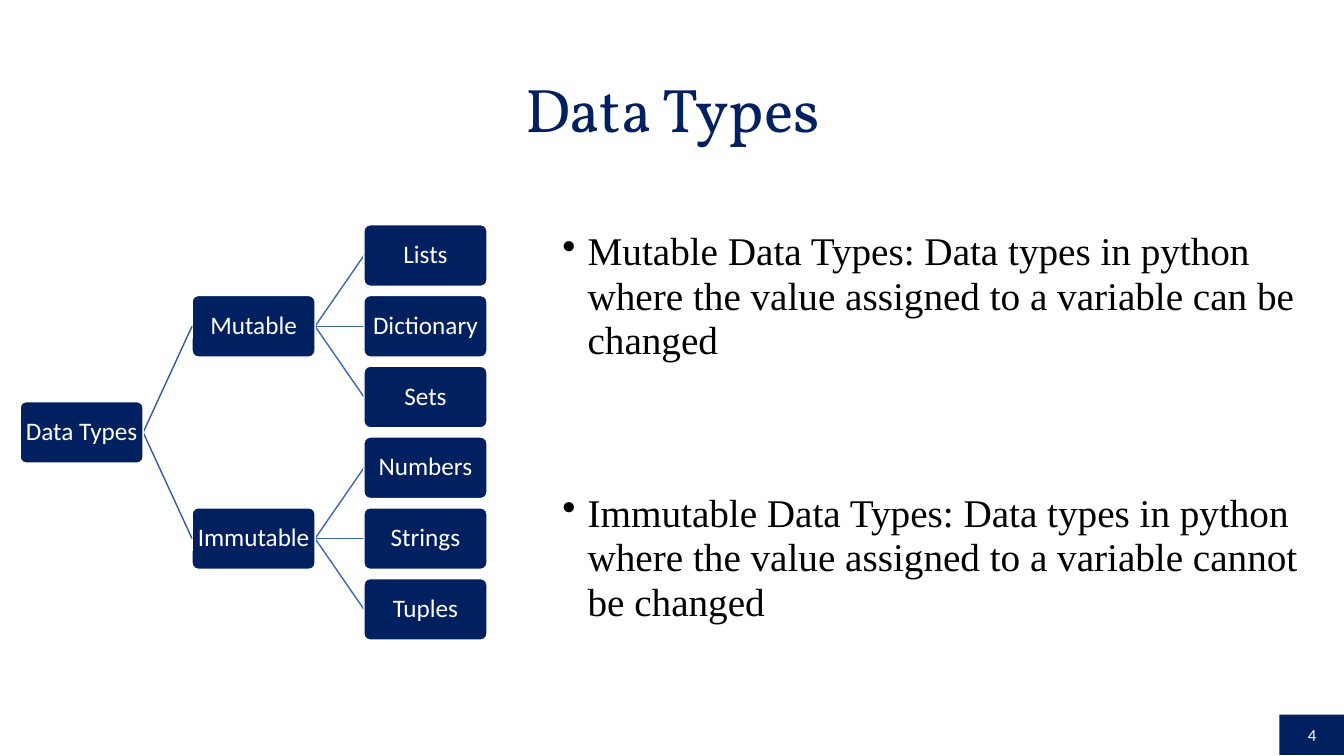
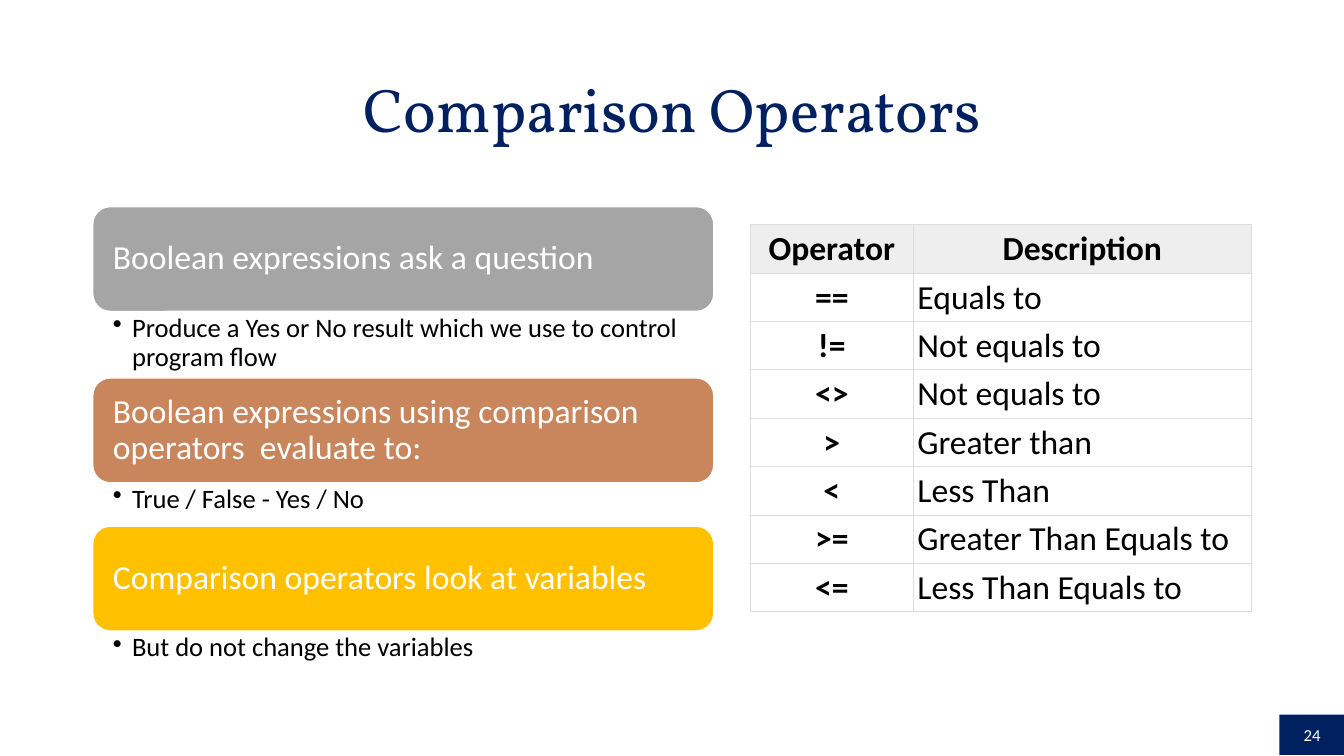
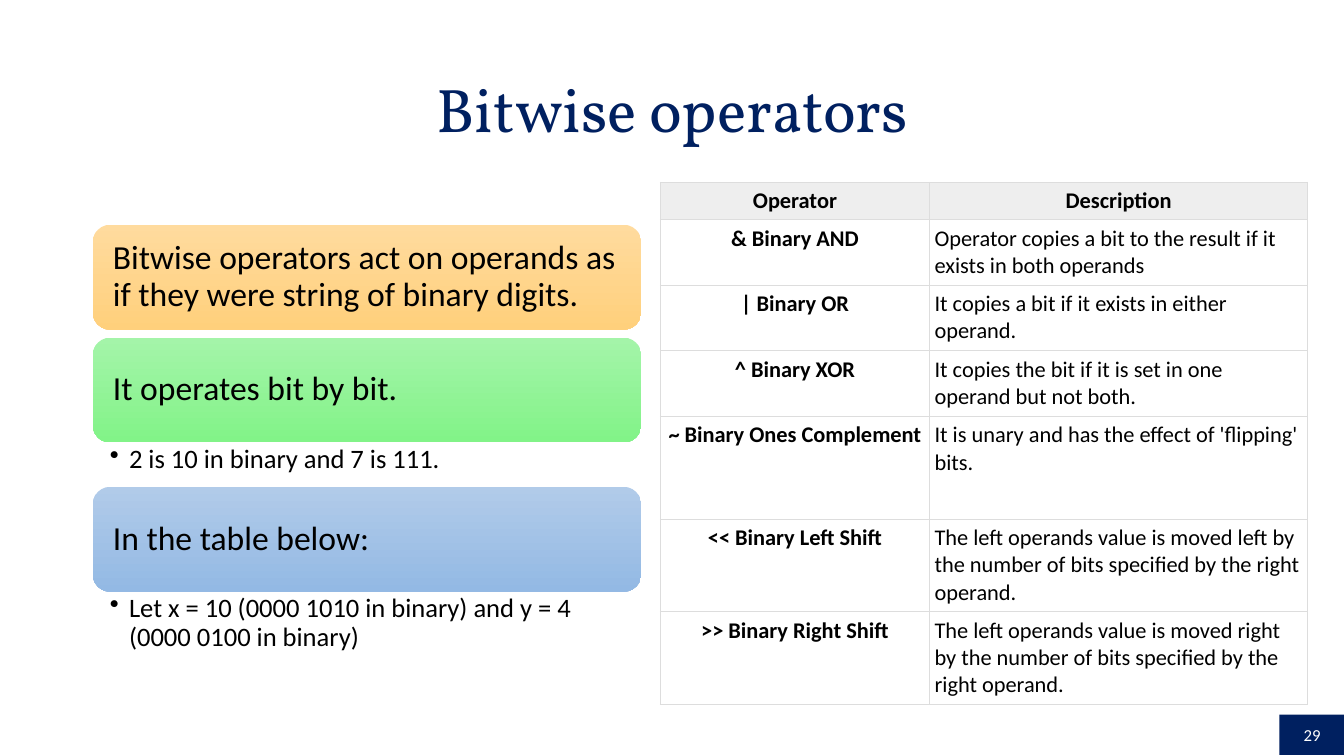
"""Build three slides on Python data types and operators."""
from pptx import Presentation
from pptx.dml.color import RGBColor
from pptx.enum.shapes import MSO_CONNECTOR, MSO_SHAPE
from pptx.enum.text import MSO_ANCHOR, PP_ALIGN
from pptx.oxml.ns import qn
from pptx.util import Inches, Pt
from lxml.etree import SubElement

NAVY = RGBColor(0x00, 0x20, 0x60)
WHITE = RGBColor(0xFF, 0xFF, 0xFF)
BLACK = RGBColor(0x00, 0x00, 0x00)
GREY = RGBColor(0xA5, 0xA5, 0xA5)
COPPER = RGBColor(0xC9, 0x85, 0x5C)
AMBER = RGBColor(0xFF, 0xC0, 0x00)
ORANGES = RGBColor(0xFF, 0xDB, 0x9E), RGBColor(0xFF, 0xD0, 0x7C)
GREENS = RGBColor(0xA4, 0xF4, 0xA9), RGBColor(0x82, 0xF3, 0x88)
BLUES = RGBColor(0xB1, 0xCB, 0xE9), RGBColor(0x93, 0xB9, 0xE4)
HEADER_FILL = RGBColor(0xEE, 0xEE, 0xEE)
BORDER = RGBColor(0xDD, 0xDD, 0xDD)
ROOT_LINE = RGBColor(0x36, 0x5B, 0x9D)
BRANCH_LINE = RGBColor(0x3E, 0x67, 0xB2)

TREE_ROOT = "Data Types"
TREE_BRANCHES = [
    ("Mutable", ["Lists", "Dictionary", "Sets"]),
    ("Immutable", ["Numbers", "Strings", "Tuples"]),
]
DEFINITIONS = [
    "Mutable Data Types: Data types in python where the value assigned to a variable can be changed",
    "Immutable Data Types: Data types in python where the value assigned to a variable cannot be changed",
]
COMPARISON_POINTS = [
    (GREY, "Boolean expressions ask a question",
     "Produce a Yes or No result which we use to control program flow", 0.66),
    (COPPER, "Boolean expressions using comparison operators  evaluate to:",
     "True / False - Yes / No", 0.43),
    (AMBER, "Comparison operators look at variables",
     "But do not change the variables", 0.43),
]
COMPARISON_ROWS = [
    ("Operator", "Description"),
    ("==", "Equals to"),
    ("!=", "Not equals to"),
    ("<>", "Not equals to"),
    (">", "Greater than"),
    ("<", "Less Than"),
    (">=", "Greater Than Equals to"),
    ("<=", "Less Than Equals to"),
]
BITWISE_POINTS = [
    (ORANGES, "Bitwise operators act on operands as if they were string of binary digits.", "", 0.08),
    (GREENS, "It operates bit by bit.", "2 is 10 in binary and 7 is 111.", 0.44),
    (BLUES, "In the table below:",
     "Let x = 10 (0000 1010 in binary) and y = 4 (0000 0100 in binary)", 0.65),
]
BITWISE_ROWS = [
    ("Operator", "Description"),
    ("& Binary AND", "Operator copies a bit to the result if it exists in both operands"),
    ("| Binary OR", "It copies a bit if it exists in either operand."),
    ("^ Binary XOR", "It copies the bit if it is set in one operand but not both."),
    ("~ Binary Ones Complement", "It is unary and has the effect of 'flipping' bits."),
    ("<< Binary Left Shift",
     "The left operands value is moved left by the number of bits specified by the right operand."),
    (">> Binary Right Shift",
     "The left operands value is moved right by the number of bits specified by the right operand."),
]

NODE_WIDTH, NODE_HEIGHT = 1.22, 0.61
TREE_LEFT, TREE_TOP = 0.2, 2.23
COLUMN_PITCH, LEAF_PITCH = 1.705, 0.702
POINT_LEFT, POINT_HEIGHT = 0.92, 1.04


def set_frame(shape, margins, anchor=MSO_ANCHOR.TOP):
    frame = shape.text_frame
    frame.word_wrap = True
    frame.vertical_anchor = anchor
    frame.margin_left, frame.margin_top, frame.margin_right, frame.margin_bottom = map(Inches, margins)
    return frame


def write(paragraph, text, size, color, align=PP_ALIGN.LEFT, font="Calibri", bold=False, spacing=0.9):
    paragraph.text = text
    paragraph.alignment = align
    paragraph.line_spacing = spacing
    paragraph.font.name = font
    paragraph.font.size = Pt(size)
    paragraph.font.bold = bold
    paragraph.font.color.rgb = color


def add_bullet(paragraph, indent):
    properties = paragraph._p.get_or_add_pPr()
    properties.set("marL", str(Inches(indent)))
    properties.set("indent", str(-Inches(indent)))
    bullet = properties.makeelement(qn("a:buChar"), {"char": "•"})
    properties.insert_element_before(bullet, "a:tabLst", "a:defRPr", "a:extLst")


def add_text_box(slide, left, top, width, height):
    return slide.shapes.add_textbox(Inches(left), Inches(top), Inches(width), Inches(height))


def add_block(slide, kind, left, top, width, height, fill, outline=None):
    shape = slide.shapes.add_shape(kind, Inches(left), Inches(top), Inches(width), Inches(height))
    shape.shadow.inherit = False
    if isinstance(fill, RGBColor):
        shape.fill.solid()
        shape.fill.fore_color.rgb = fill
    else:
        shape.fill.gradient()
        shape.fill.gradient_angle = 270
        for stop, color in zip(shape.fill.gradient_stops, fill):
            stop.color.rgb = color
    if outline is None:
        shape.line.fill.background()
    else:
        shape.line.color.rgb = outline
        shape.line.width = Pt(1)
    return shape


def add_slide(presentation, title, number):
    slide = presentation.slides.add_slide(presentation.slide_layouts[6])
    title_box = add_text_box(slide, 0.92, 0.39, 11.5, 1.45)
    frame = set_frame(title_box, (0.1, 0.05, 0.1, 0.05), MSO_ANCHOR.MIDDLE)
    write(frame.paragraphs[0], title, 44, NAVY, PP_ALIGN.CENTER, "Vollkorn")
    badge = add_block(slide, MSO_SHAPE.RECTANGLE, 12.69, 7.09, 0.65, 0.4, NAVY)
    frame = set_frame(badge, (0.1, 0.05, 0.1, 0.05), MSO_ANCHOR.MIDDLE)
    write(frame.paragraphs[0], str(number), 12, WHITE, PP_ALIGN.CENTER, spacing=1.0)
    return slide


def add_node(slide, text, level, middle):
    node = add_block(slide, MSO_SHAPE.ROUNDED_RECTANGLE, TREE_LEFT + level * COLUMN_PITCH,
                     middle - NODE_HEIGHT / 2, NODE_WIDTH, NODE_HEIGHT, NAVY, WHITE)
    node.adjustments[0] = 0.1
    frame = set_frame(node, (0.01,) * 4, MSO_ANCHOR.MIDDLE)
    write(frame.paragraphs[0], text, 18, WHITE, PP_ALIGN.CENTER)


def add_link(slide, level, start, end, color):
    left = TREE_LEFT + level * COLUMN_PITCH + NODE_WIDTH
    right = TREE_LEFT + (level + 1) * COLUMN_PITCH
    link = slide.shapes.add_connector(MSO_CONNECTOR.STRAIGHT, Inches(left), Inches(start),
                                      Inches(right), Inches(end))
    link.line.color.rgb = color
    link.line.width = Pt(1)
    SubElement(link._element.spPr, qn("a:effectLst"))


def add_tree(slide):
    leaf_middle = TREE_TOP + NODE_HEIGHT / 2
    branch_middles = []
    for branch, leaves in TREE_BRANCHES:
        middles = [leaf_middle + i * LEAF_PITCH for i in range(len(leaves))]
        leaf_middle = middles[-1] + LEAF_PITCH
        branch_middle = sum(middles) / len(middles)
        branch_middles.append(branch_middle)
        for leaf, middle in zip(leaves, middles):
            add_link(slide, 1, branch_middle, middle, BRANCH_LINE)
            add_node(slide, leaf, 2, middle)
        add_node(slide, branch, 1, branch_middle)
    root_middle = sum(branch_middles) / len(branch_middles)
    for middle in branch_middles:
        add_link(slide, 0, root_middle, middle, ROOT_LINE)
    add_node(slide, TREE_ROOT, 0, root_middle)


def add_definitions(slide):
    frame = set_frame(add_text_box(slide, 5.48, 2.23, 7.55, 3.96), (0.1, 0.05, 0.1, 0.05))
    for i, definition in enumerate(DEFINITIONS):
        paragraph = frame.add_paragraph() if i else frame.paragraphs[0]
        write(paragraph, definition, 28, BLACK, font="Times New Roman", spacing=0.95)
        paragraph.space_before = Pt(91 if i else 0)
        add_bullet(paragraph, 0.25)


def add_points(slide, points, top, width, color, bullet_inset):
    for fill, heading, detail, advance in points:
        outline = WHITE if isinstance(fill, RGBColor) else None
        block = add_block(slide, MSO_SHAPE.ROUNDED_RECTANGLE, POINT_LEFT, top, width,
                          POINT_HEIGHT, fill, outline)
        frame = set_frame(block, (0.15,) * 4, MSO_ANCHOR.MIDDLE)
        write(frame.paragraphs[0], heading, 24, color)
        top += POINT_HEIGHT
        if detail:
            box = add_text_box(slide, POINT_LEFT, top, width, advance)
            paragraph = set_frame(box, (bullet_inset, 0.03, 0.19, 0.03)).paragraphs[0]
            write(paragraph, detail, 19, BLACK)
            add_bullet(paragraph, 0.19)
        top += advance


def set_borders(cell):
    properties = cell._tc.get_or_add_tcPr()
    for i, side in enumerate(("a:lnL", "a:lnR", "a:lnT", "a:lnB")):
        line = properties.makeelement(qn(side), {"w": str(Pt(0.75))})
        fill = SubElement(line, qn("a:solidFill"))
        SubElement(fill, qn("a:srgbClr"), val=str(BORDER))
        properties.insert(i, line)


def add_operator_table(slide, rows, left, top, widths, heights, size, margin):
    frame = slide.shapes.add_table(len(rows), len(widths), Inches(left), Inches(top),
                                   Inches(sum(widths)), Inches(sum(heights)))
    table = frame.table
    table.first_row = table.horz_banding = False
    for column, width in zip(table.columns, widths):
        column.width = Inches(width)
    for r, (row, height) in enumerate(zip(rows, heights)):
        table.rows[r].height = Inches(height)
        for c, text in enumerate(row):
            cell = table.cell(r, c)
            cell.margin_left = cell.margin_right = cell.margin_top = cell.margin_bottom = Inches(margin)
            cell.fill.solid()
            cell.fill.fore_color.rgb = WHITE if r else HEADER_FILL
            strong = r == 0 or c == 0
            align = PP_ALIGN.CENTER if strong else PP_ALIGN.LEFT
            write(cell.text_frame.paragraphs[0], text, size, BLACK, align, bold=strong, spacing=1.0)
            set_borders(cell)


def main():
    presentation = Presentation()
    presentation.slide_width, presentation.slide_height = Inches(13.33), Inches(7.5)

    slide = add_slide(presentation, "Data Types", 4)
    add_tree(slide)
    add_definitions(slide)

    slide = add_slide(presentation, "Comparison Operators", 24)
    add_points(slide, COMPARISON_POINTS, 2.05, 6.16, WHITE, 0.2)
    add_operator_table(slide, COMPARISON_ROWS, 7.44, 2.23, (1.62, 3.35), [0.48] * 8, 24, 0.04)

    slide = add_slide(presentation, "Bitwise operators", 29)
    add_points(slide, BITWISE_POINTS, 2.23, 5.44, BLACK, 0.17)
    add_operator_table(slide, BITWISE_ROWS, 6.55, 1.81, (2.67, 3.75),
                       (0.37, 0.65, 0.65, 0.65, 1.02, 0.92, 0.92), 16, 0.05)

    presentation.save("out.pptx")


if __name__ == "__main__":
    main()
